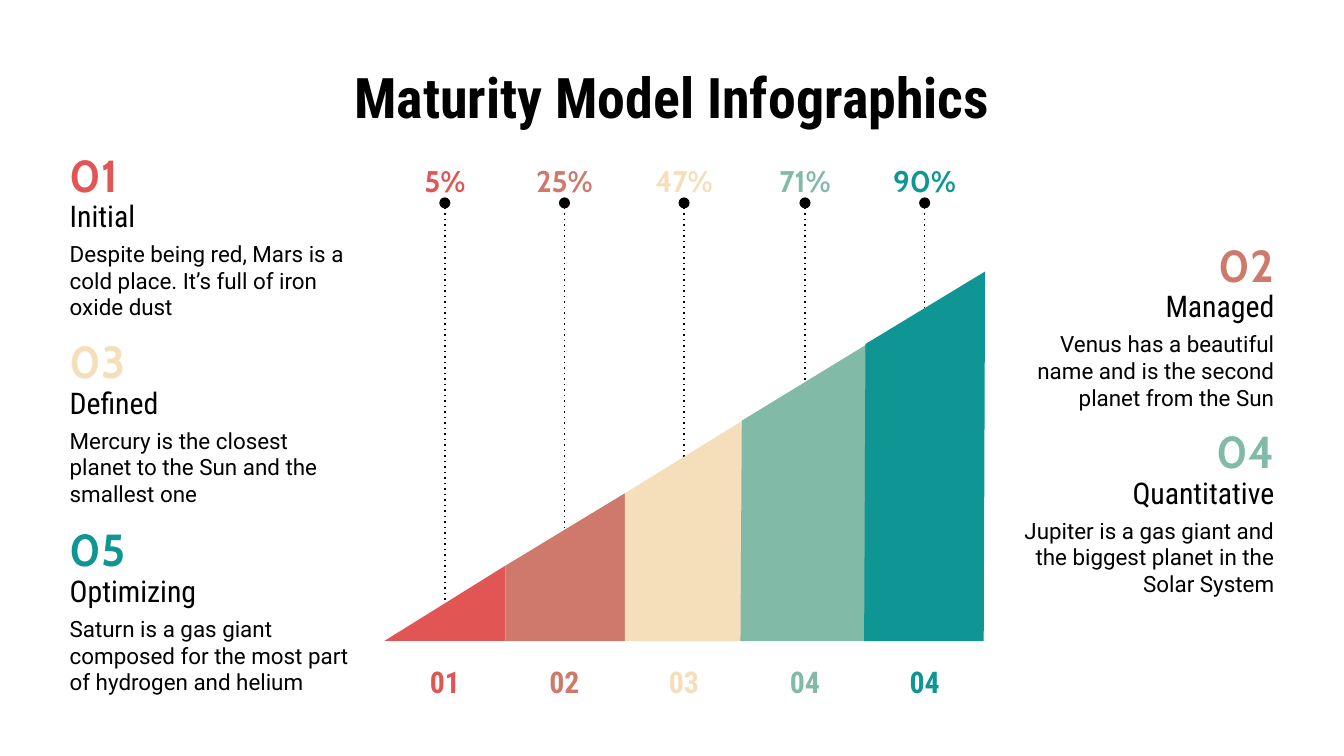
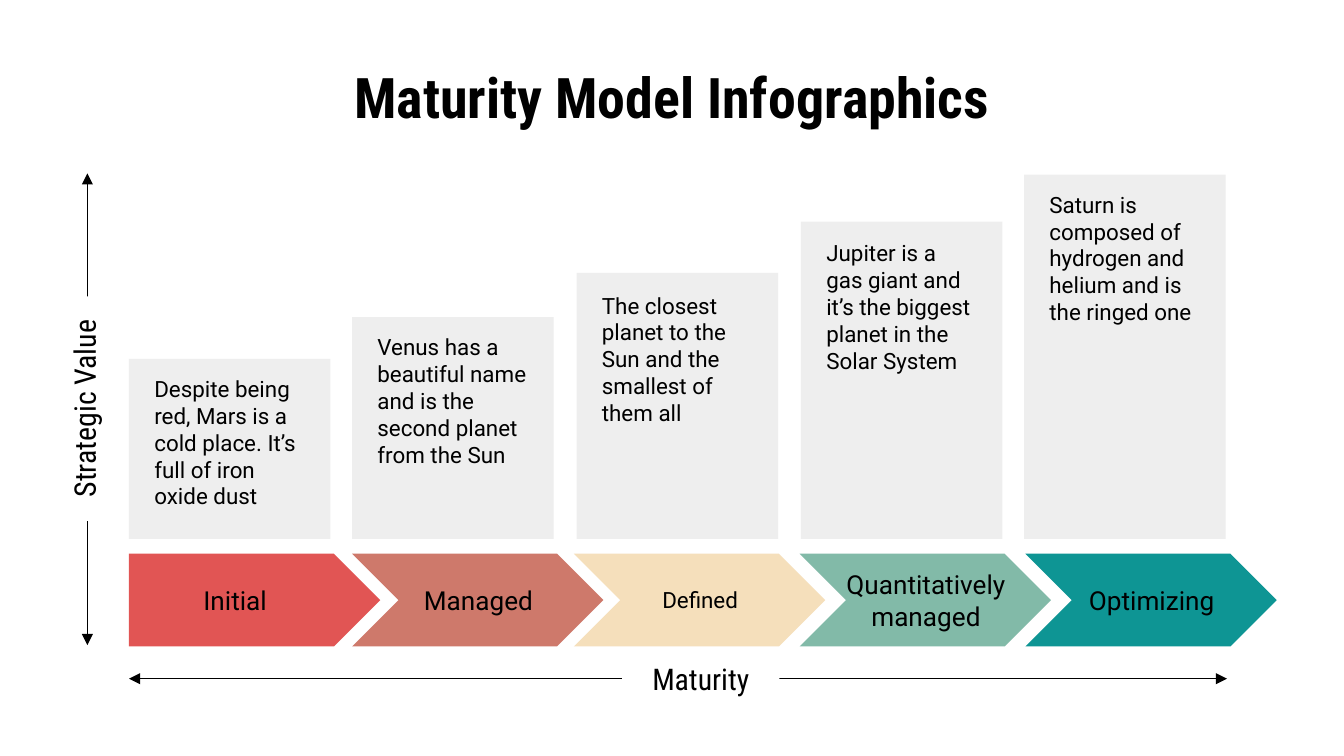
from lxml import etree
from pptx import Presentation
from pptx import util as u
from pptx.dml.color import RGBColor
from pptx.enum import shapes, text
from pptx.oxml.ns import qn

PX = 9144
COLORS = {
    "ink": "000000",
    "paper": "FFFFFF",
    "card": "EEEEEE",
    "red": "E15554",
    "clay": "CE796B",
    "sand": "F5DFBB",
    "sage": "82BAA8",
    "teal": "0E9594",
}
STAGES = ["red", "clay", "sand", "sage", "teal"]
HEAD, BODY, NUMBER = "Roboto Condensed", "Roboto", "Cabin"
LEFT, CENTER, RIGHT = text.PP_ALIGN.LEFT, text.PP_ALIGN.CENTER, text.PP_ALIGN.RIGHT
MIDDLE, TOP = text.MSO_ANCHOR.MIDDLE, text.MSO_ANCHOR.TOP
KIND = shapes.MSO_SHAPE


def write(box, words, size, font, color="ink", bold=False, align=LEFT, anchor=MIDDLE, spacing=None, after=None):
    frame = box.text_frame
    frame.word_wrap = True
    frame.vertical_anchor = anchor
    frame.margin_left = frame.margin_right = frame.margin_top = frame.margin_bottom = 10 * PX
    for index, line in enumerate(words.split("\n")):
        para = frame.add_paragraph() if index else frame.paragraphs[0]
        para.alignment = align
        if spacing:
            para.line_spacing = spacing
        if after:
            para.space_after = u.Pt(after)
        span = para.add_run()
        span.text = line
        span.font.size = u.Pt(size)
        span.font.name = font
        span.font.bold = bold
        span.font.color.rgb = RGBColor.from_string(COLORS[color])


def rule(page, x1, y1, x2, y2, ends):
    line = page.shapes.add_connector(shapes.MSO_CONNECTOR.STRAIGHT, x1 * PX, y1 * PX, x2 * PX, y2 * PX)
    line.line.color.rgb = RGBColor.from_string(COLORS["ink"])
    line.line.width = u.Pt(0.75)
    outline = line.line._get_or_add_ln()
    for tag, kind in ends:
        etree.SubElement(outline, qn(tag)).set("dash" if tag == "dash" else "val" if tag == "a:prstDash" else "type", kind)
    etree.SubElement(line._element.spPr, qn("a:effectLst"))


deck = Presentation()
deck.slide_width, deck.slide_height = 1000 * PX, u.Inches(5.625)
solids = []
pages = []
for _ in range(2):
    page = deck.slides.add_slide(deck.slide_layouts[6])
    title = page.shapes.add_textbox(50 * PX, 45 * PX, 900 * PX, 53 * PX)
    write(title, "Maturity Model Infographics", 30, HEAD, bold=True, align=CENTER)
    pages.append(page)
growth, steps = pages

descriptions = [
    ("01", "Initial", "Despite being red, Mars is a\ncold place. It’s full of iron oxide dust", "red", LEFT, 114),
    ("03", "Defined", "Mercury is the closest planet to the Sun and the smallest one", "sand", LEFT, 253),
    ("05", "Optimizing", "Saturn is a gas giant composed for the most part of hydrogen and helium", "teal", LEFT, 393),
    ("02", "Managed", "Venus has a beautiful name and is the second planet from the Sun", "clay", RIGHT, 181),
    ("04", "Quantitative", "Jupiter is a gas giant and the biggest planet in the Solar System", "sage", RIGHT, 320),
]
for number, name, body, color, align, top in descriptions:
    for words, size, font, tint, width, offset, height in [
        (number, 24, NUMBER, color, 67, 0, 31),
        (name, 16, HEAD, "ink", 229, 31, 31),
        (body, 12, BODY, "ink", 229 if align == LEFT else 218, 63, 63),
    ]:
        left = 42 if align == LEFT else 958 - width
        box = growth.shapes.add_textbox(left * PX, (top + offset) * PX, width * PX, height * PX)
        write(box, words, size, font, tint, bold=font == NUMBER, align=align)

markers = zip(["5%", "25%", "47%", "71%", "90%"], ["01", "02", "03", "04", "04"], STAGES)
for index, (percent, number, color) in enumerate(markers):
    middle = 331 + round(89.25 * index)
    rule(growth, middle, 151, middle, 464, [("a:prstDash", "dot"), ("a:headEnd", "oval")])
    box = growth.shapes.add_textbox((middle - 37) * PX, 113 * PX, 74 * PX, 38 * PX)
    write(box, percent, 16, NUMBER, color, True, CENTER, spacing=1.15)
    box = growth.shapes.add_textbox((middle - 37) * PX, 480 * PX, 74 * PX, 38 * PX)
    write(box, number, 16, HEAD, color, True, CENTER, TOP, 1.15, 16)

slices = [
    [(286, 477), (376, 421), (376, 477)],
    [(376, 477), (376, 421), (465, 367), (465, 477)],
    [(465, 477), (465, 367), (554, 312), (554, 477)],
    [(551, 477), (552, 313), (647, 255), (646, 477)],
    [(643, 477), (644, 256), (733, 202), (732, 477)],
]
for color, corners in zip(STAGES, slices):
    builder = growth.shapes.build_freeform(*corners[0], scale=PX)
    builder.add_line_segments(corners[1:], close=True)
    solids.append((builder.convert_to_shape(), color))

arrows = [("a:headEnd", "triangle"), ("a:tailEnd", "triangle")]
rule(steps, 913, 505, 96, 505, arrows)
rule(steps, 65, 129, 65, 480, arrows)

cards = [
    ("Initial", 14, 96, 267, 275, "Despite being red, Mars is a cold place. It’s full of iron oxide dust"),
    ("Managed", 14, 262, 236, 244, "Venus has a beautiful name and is the second planet from the Sun"),
    ("Defined", 12, 427, 203, 213, "The closest planet to the Sun and the smallest of them all"),
    ("Quantitatively\nmanaged", 14, 595, 165, 174, "Jupiter is a gas giant and it’s the biggest planet in the Solar System"),
    ("Optimizing", 14, 763, 130, 138, "Saturn is composed of hydrogen and helium and is the ringed one"),
]
for index, (name, size, left, top, body_top, body) in enumerate(cards):
    kind, inset = (KIND.CHEVRON, 22) if index else (KIND.PENTAGON, 7)
    step = steps.shapes.add_shape(kind, left * PX, 412 * PX, 187 * PX, 69 * PX)
    solids.append((step, STAGES[index]))
    box = steps.shapes.add_textbox((left + inset) * PX, 420 * PX, 144 * PX, 53 * PX)
    write(box, name.replace("\n", " "), size, BODY, align=CENTER)
    card_left = 96 + round(166.5 * index)
    card = steps.shapes.add_shape(KIND.RECTANGLE, card_left * PX, top * PX, 150 * PX, (401 - top) * PX)
    solids.append((card, "card"))
    box = steps.shapes.add_textbox((card_left + 9) * PX, body_top * PX, 131 * PX, 108 * PX)
    write(box, body, 12, BODY)

for words, left, top, width, height, turn in [
    ("Maturity", 463, 492, 117, 26, 0),
    ("Strategic Value", -21, 290, 167, 28, 270),
]:
    axis = steps.shapes.add_shape(KIND.RECTANGLE, left * PX, top * PX, width * PX, height * PX)
    axis.rotation = turn
    write(axis, words, 16, HEAD, align=CENTER)
    solids.append((axis, "paper"))

for solid, color in solids:
    solid.shadow.inherit = False
    solid.fill.solid()
    solid.fill.fore_color.rgb = RGBColor.from_string(COLORS[color])
    solid.line.fill.background()

deck.save("out.pptx")
